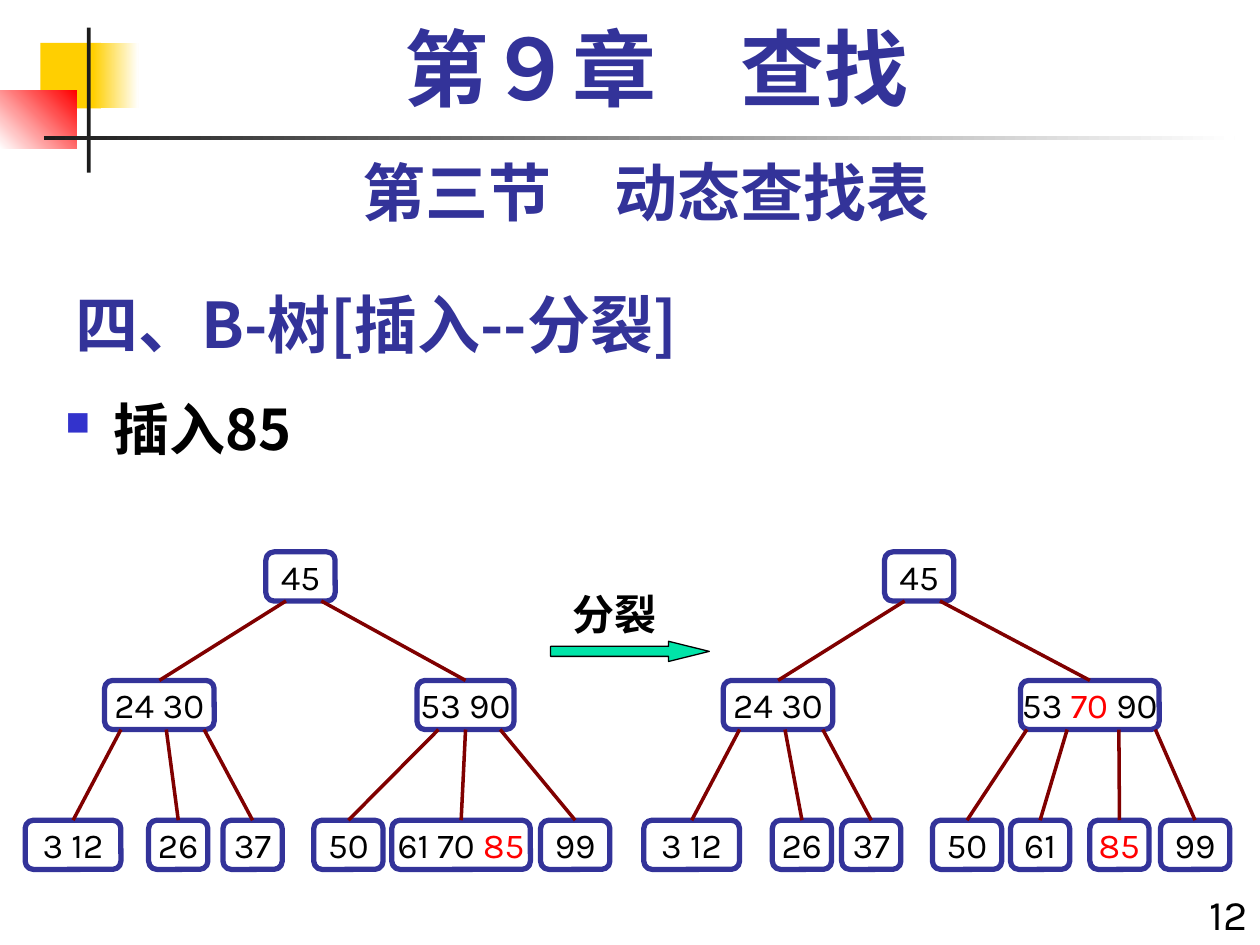
from lxml import etree
from pptx import Presentation
from pptx.dml.color import RGBColor
from pptx.enum.shapes import MSO_CONNECTOR, MSO_SHAPE
from pptx.enum.text import MSO_ANCHOR, MSO_AUTO_SIZE, PP_ALIGN
from pptx.oxml.ns import qn
from pptx.util import Inches, Pt

RECTANGLE = MSO_SHAPE.RECTANGLE
ROUNDED = MSO_SHAPE.ROUNDED_RECTANGLE
RIGHT_ARROW = MSO_SHAPE.RIGHT_ARROW
STRAIGHT = MSO_CONNECTOR.STRAIGHT
LEFT, CENTER, RIGHT = PP_ALIGN.LEFT, PP_ALIGN.CENTER, PP_ALIGN.RIGHT
TOP, MIDDLE, BOTTOM = MSO_ANCHOR.TOP, MSO_ANCHOR.MIDDLE, MSO_ANCHOR.BOTTOM
NO_AUTOFIT = MSO_AUTO_SIZE.NONE
TOP_SIDE, BOTTOM_SIDE = 0, 2

CJK, LATIN, SERIF = "Noto Sans CJK SC", "Karla", "Times New Roman"
NAVY, MAROON, RED, BLACK = "333399", "800000", "FF0000", "000000"
YELLOW, WHITE, CHARCOAL = "FFCF01", "FFFFFF", "1C1C1C"

LEVEL_TOPS = (4.38, 5.4, 6.51)
NODE_HEIGHT = 0.39

# A node is (label, left, width, branches); a branch is (start x, child node).
# Keys between asterisks are red.
RIGHT_BRANCH_BEFORE = ("53 90", 3.31, 0.77, [
    (3.48, ("50", 2.49, 0.55, [])),
    (3.69, ("61 70 *85*", 3.11, 1.1, [])),
    (3.97, ("99", 4.29, 0.55, [])),
])
RIGHT_BRANCH_AFTER = ("53 *70* 90", 3.19, 1.1, [
    (3.24, ("50", 2.49, 0.55, [])),
    (3.56, ("61", 3.11, 0.47, [])),
    (3.97, ("*85*", 3.74, 0.47, [])),
    (4.26, ("99", 4.3, 0.55, [])),
])


def color(hex_value):
    return RGBColor.from_string(hex_value)


def inches(*values):
    return [Inches(value) for value in values]


def add_span(para, text, size, font=LATIN, hex_value=BLACK, bold=False):
    span = para.add_run()
    span.text = text
    formats = {"size": Pt(size), "name": font, "bold": bold}
    for name, value in formats.items():
        setattr(span.font, name, value)
    span.font.color.rgb = color(hex_value)
    east_asian = etree.SubElement(span._r.get_or_add_rPr(), qn("a:ea"))
    east_asian.set("typeface", CJK)


def format_frame(frame, anchor=TOP, wrap=True):
    formats = {"word_wrap": wrap, "auto_size": NO_AUTOFIT, "vertical_anchor": anchor}
    for name, value in formats.items():
        setattr(frame, name, value)


def add_text(page, place, text, size, align=CENTER, **span_format):
    box = page.shapes.add_textbox(*inches(*place))
    format_frame(box.text_frame)
    para = box.text_frame.paragraphs[0]
    para.alignment = align
    add_span(para, text, size, **span_format)
    return para


def add_bullet(para):
    properties = para._p.get_or_add_pPr()
    properties.set("marL", str(Inches(0.38)))
    properties.set("indent", str(-Inches(0.38)))
    bullet_color = etree.SubElement(properties, qn("a:buClr"))
    etree.SubElement(bullet_color, qn("a:srgbClr")).set("val", "3333CC")
    etree.SubElement(properties, qn("a:buSzPct")).set("val", "60000")
    etree.SubElement(properties, qn("a:buFont")).set("typeface", "Wingdings")
    etree.SubElement(properties, qn("a:buChar")).set("char", "n")


def add_block(page, place, first, last=None, angle=0):
    """Add a borderless rectangle, with a gradient when a last colour is given."""
    block = page.shapes.add_shape(RECTANGLE, *inches(*place))
    block.shadow.inherit = False
    block.line.fill.background()
    if last is None:
        block.fill.solid()
        block.fill.fore_color.rgb = color(first)
        return
    block.fill.gradient()
    block.fill.gradient_angle = angle
    for stop, hex_value in zip(block.fill.gradient_stops, (first, last)):
        stop.color.rgb = color(hex_value)


def add_decoration(page):
    add_block(page, (0.32, 0.34, 0.48, 0.52), YELLOW)
    add_block(page, (0.74, 0.34, 0.36, 0.52), YELLOW, WHITE)
    add_block(page, (0, 0.72, 0.61, 0.46), WHITE, RED, 45)
    add_block(page, (0.69, 0.22, 0.03, 1.15), CHARCOAL)
    add_block(page, (0.35, 1.08, 9.45, 0.03), CHARCOAL, WHITE)


def add_title(page):
    title = page.shapes.title
    title.left, title.top, title.width, title.height = inches(0.5, 2.17, 6.83, 0.75)
    format_frame(title.text_frame, BOTTOM)
    para = title.text_frame.paragraphs[0]
    para.alignment = LEFT
    add_span(para, "四、B-树[插入--分裂]", 36, CJK, NAVY, True)


def add_node(group, label, left, top, width):
    node = group.shapes.add_shape(ROUNDED, *inches(left, top, width, NODE_HEIGHT))
    node.shadow.inherit = False
    node.fill.background()
    node.line.color.rgb = color(NAVY)
    node.line.width = Pt(3)
    format_frame(node.text_frame, MIDDLE, wrap=False)
    para = node.text_frame.paragraphs[0]
    para.alignment = CENTER
    for index, part in enumerate(label.split("*")):
        if part:
            add_span(para, part, 20, hex_value=RED if index % 2 else BLACK)
    return node


def add_branch(group, parent, start, child):
    start_x, end_x = Inches(start), child.left + child.width // 2
    start_y = parent.top + parent.height
    branch = group.shapes.add_connector(STRAIGHT, start_x, start_y, end_x, child.top)
    branch.line.color.rgb = color(MAROON)
    branch.line.width = Pt(2)
    etree.SubElement(branch._element.spPr, qn("a:effectLst"))
    if abs(start_x - parent.left - parent.width // 2) < Inches(0.01):
        branch.begin_connect(parent, BOTTOM_SIDE)
    branch.end_connect(child, TOP_SIDE)


def add_subtree(group, tree, shift, level=0):
    label, left, width, branches = tree
    node = add_node(group, label, left + shift, LEVEL_TOPS[level], width)
    for start, child_tree in branches:
        child = add_subtree(group, child_tree, shift, level + 1)
        add_branch(group, node, start + shift, child)
    return node


def add_tree(page, shift, leaf_lefts, right_branch):
    """Draw a B-tree; only two left leaves and the right branch differ."""
    left_26, left_37 = leaf_lefts
    left_branch = ("24 30", 0.83, 0.87, [
        (0.96, ("3 12", 0.2, 0.76, [])),
        (1.32, ("26", left_26, 0.47, [])),
        (1.62, ("37", left_37, 0.47, [])),
    ])
    root = ("45", 2.11, 0.55, [(2.27, left_branch), (2.55, right_branch)])
    add_subtree(page.shapes.add_group_shape(), root, shift)


def add_split_arrow(page):
    arrow = page.shapes.add_shape(RIGHT_ARROW, *inches(4.37, 5.09, 1.26, 0.16))
    arrow.shadow.inherit = False
    arrow.adjustments[1] = 2.02
    arrow.fill.solid()
    arrow.fill.fore_color.rgb = color("00E4A8")
    arrow.line.color.rgb = color(BLACK)
    arrow.line.width = Pt(0.75)
    add_text(page, (4.37, 4.62, 1.02, 0.5), "分裂", 24, bold=True)


def main():
    deck = Presentation()
    deck.slide_width, deck.slide_height = inches(10, 7.5)
    page = deck.slides.add_slide(deck.slide_layouts[5])
    add_decoration(page)
    add_title(page)
    add_text(page, (9.33, 7, 0.67, 0.5), "12", 24, RIGHT)
    heading = {"hex_value": NAVY, "bold": True}
    add_text(page, (0.5, 1.17, 9.25, 0.7), "第三节　动态查找表", 36, **heading)
    chapter = add_text(page, (0.67, 0.17, 9.08, 0.83), "第９章　查找", 48,
                       font=SERIF, **heading)
    chapter.line_spacing = 0.9
    step = add_text(page, (0.42, 3.08, 9.58, 0.75), "插入85", 32, LEFT,
                    font=CJK, bold=True)
    add_bullet(step)
    add_tree(page, 0, (1.18, 1.77), RIGHT_BRANCH_BEFORE)
    add_tree(page, 4.91, (1.22, 1.77), RIGHT_BRANCH_AFTER)
    add_split_arrow(page)
    deck.save("out.pptx")


if __name__ == "__main__":
    main()
